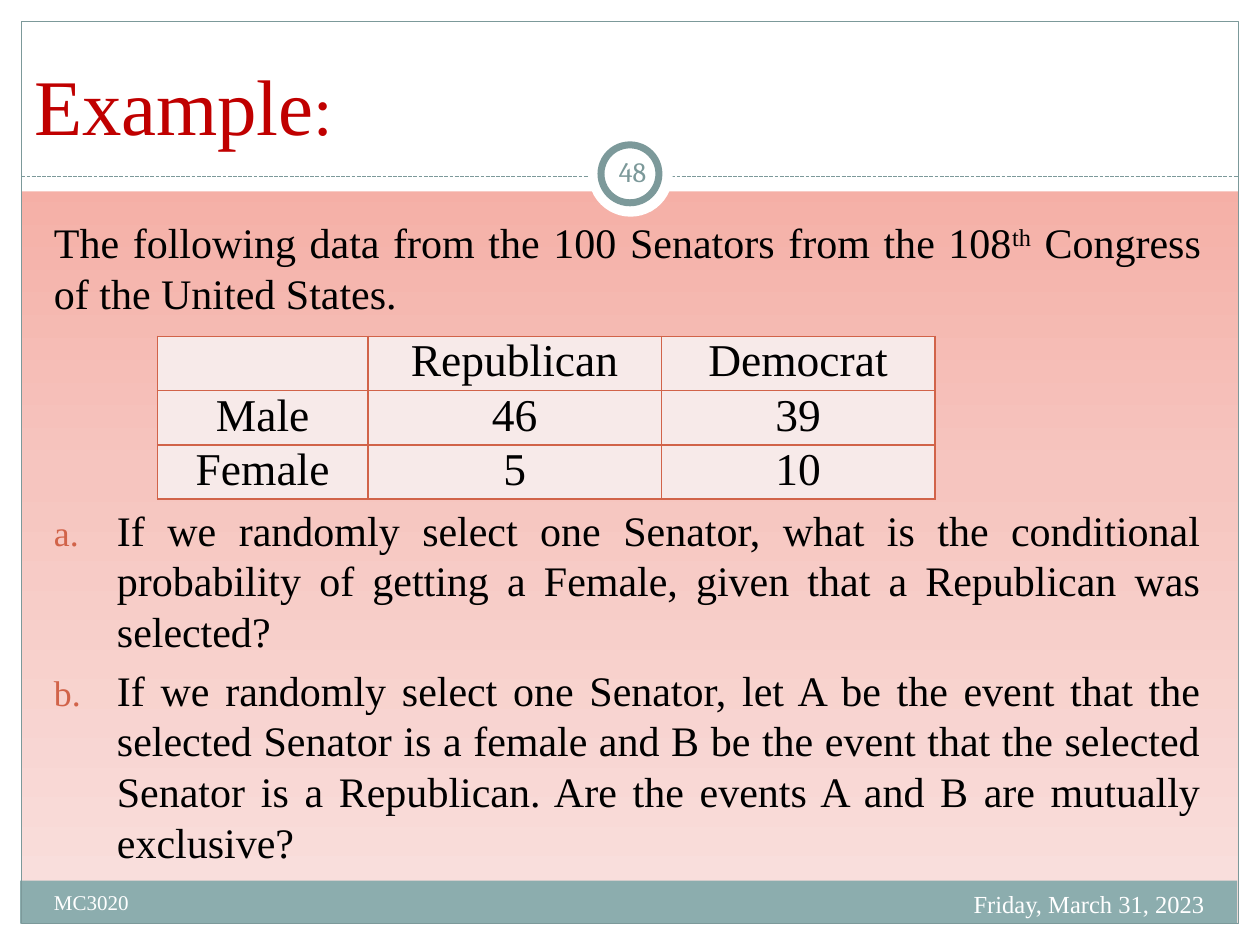
"""Build the conditional probability example slide with its table of senators."""
import copy

from lxml import etree
from pptx import Presentation, util as u
from pptx.dml.color import RGBColor
from pptx.enum import dml, shapes, text
from pptx.oxml import parse_xml
from pptx.oxml.ns import nsdecls, qn

Inches, Pt = u.Inches, u.Pt
SERIF, TEAL, ACCENT = "Times New Roman", "7C999A", "D16349"
LEFT, CENTER, RIGHT, JUSTIFY = (text.PP_ALIGN.LEFT, text.PP_ALIGN.CENTER,
                                text.PP_ALIGN.RIGHT, text.PP_ALIGN.JUSTIFY)
TOP, MIDDLE, BOTTOM = text.MSO_ANCHOR.TOP, text.MSO_ANCHOR.MIDDLE, text.MSO_ANCHOR.BOTTOM
rgb = RGBColor.from_string


def write(paragraph, runs, align, color, font=SERIF, **spacing):
    for name, value in dict(alignment=align, **spacing).items():
        setattr(paragraph, name, value)
    for words, size in runs:
        run = paragraph.add_run()
        run.text = words
        for name, value in dict(name=font, size=Pt(size)).items():
            setattr(run.font, name, value)
        run.font.color.rgb = rgb(color)


def set_frame(frame, anchor=TOP, inset=None):
    layout = dict(word_wrap=True, auto_size=text.MSO_AUTO_SIZE.NONE, vertical_anchor=anchor)
    if inset is not None:
        layout.update({f"margin_{side}": Inches(inset) for side in ("left", "top", "right", "bottom")})
    for name, value in layout.items():
        setattr(frame, name, value)
    return frame


deck = Presentation()
deck.slide_width, deck.slide_height = Inches(10), Inches(7.5)
slide = deck.slides.add_slide(deck.slide_layouts[5])

backdrop = slide.background.fill
backdrop.gradient()
backdrop.gradient_angle = 270
first_stop = slide.background._cSld.find(".//" + qn("a:gs"))
first_stop.addnext(copy.deepcopy(first_stop))
for stop, (position, color) in zip(backdrop.gradient_stops,
                                   [(0, "F4A095"), (0.5, "F6C5BF"), (1, "FAE2E0")]):
    stop.position = position
    stop.color.rgb = rgb(color)

RECT, OVAL = shapes.MSO_SHAPE.RECTANGLE, shapes.MSO_SHAPE.OVAL
decor = [
    (RECT, (0, 7.33, 10, 0.17), "FFFFFF", None),
    (RECT, (0, 0, 10, 1.52), "FFFFFF", None),
    (RECT, (0, 0, 0.17, 7.5), "FFFFFF", None),
    (RECT, (9.83, 0, 0.17, 7.5), "FFFFFF", None),
    (RECT, (0.16, 6.99, 9.66, 0.34), "8CADAE", None),
    (RECT, (0.17, 0.17, 9.66, 7.16), None, 0.75),
    ("divider", (0.17, 1.4, 9.83, 1.4), None, 0.75),
    (OVAL, (4.67, 1.05, 0.67, 0.67), "FFFFFF", None),
    (OVAL, (4.77, 1.15, 0.46, 0.46), "FFFFFF", 4),
]
for kind, place, fill, width in decor:
    place = [Inches(length) for length in place]
    if kind == "divider":
        part = slide.shapes.add_connector(shapes.MSO_CONNECTOR.STRAIGHT, *place)
        part.line.dash_style = dml.MSO_LINE.SQUARE_DOT
        etree.SubElement(part.element.spPr, qn("a:effectLst"))
    else:
        part = slide.shapes.add_shape(kind, *place)
        part.shadow.inherit = False
        if fill:
            part.fill.solid()
            part.fill.fore_color.rgb = rgb(fill)
        else:
            part.fill.background()
    if width:
        part.line.color.rgb = rgb(TEAL)
        part.line.width = Pt(width)
    else:
        part.line.fill.background()

title = slide.shapes.title
for name, value in dict(left=0.17, top=0.42, width=9.33, height=0.83).items():
    setattr(title, name, Inches(value))
write(set_frame(title.text_frame, BOTTOM).paragraphs[0], [("Example", 45), (":", 40)], LEFT, "C00000")
slide.shapes.element.append(title.element)

intro = set_frame(slide.shapes.add_textbox(*map(Inches, (0.33, 1.67, 9.3, 0.95))).text_frame)
write(intro.paragraphs[0],
      [("The following data from the 100 Senators from the 108", 24), ("th", 24),
       (" Congress of the United States.", 24)], JUSTIFY, "000000", line_spacing=Pt(28.9))
intro.paragraphs[0].runs[1].font._element.set("baseline", "30000")

questions = [
    "If we randomly select one Senator, what is the conditional probability of getting a Female, "
    "given that a Republican was selected?",
    "If we randomly select one Senator, let A be the event that the selected Senator is a female "
    "and B be the event that the selected Senator is a Republican. Are the events A and B are "
    "mutually exclusive?",
]
question_frame = set_frame(slide.shapes.add_textbox(*map(Inches, (0.33, 3.95, 9.3, 2.95))).text_frame)
for index, question in enumerate(questions):
    paragraph = question_frame.add_paragraph() if index else question_frame.paragraphs[0]
    write(paragraph, [(question, 24)], JUSTIFY, "000000",
          line_spacing=Pt(28.9), space_before=Pt(4.8 * index))
    properties = paragraph._p.get_or_add_pPr()
    properties.set("marL", str(Inches(0.5)))
    properties.set("indent", str(-Inches(0.5)))
    for bullet in (f'<a:buClr {nsdecls("a")}><a:srgbClr val="{ACCENT}"/></a:buClr>',
                   f'<a:buSzPct {nsdecls("a")} val="85000"/>',
                   f'<a:buFont {nsdecls("a")} typeface="{SERIF}"/>',
                   f'<a:buAutoNum {nsdecls("a")} type="alphaLcPeriod"/>'):
        properties.append(parse_xml(bullet))

labels = [
    ("Friday, March 31, 2023", (6.33, 7.01, 3.33, 0.4), 14, RIGHT, "FFFFFF", SERIF, TOP, None),
    ("MC3020", (0.33, 7.01, 3.92, 0.4), 12, LEFT, "FFFFFF", SERIF, TOP, None),
    ("48", (4.77, 1.12, 0.5, 0.48), 16, CENTER, TEAL, "Cambria", MIDDLE, 0.05),
]
for words, place, size, align, color, font, anchor, inset in labels:
    label = set_frame(slide.shapes.add_textbox(*map(Inches, place)).text_frame, anchor, inset)
    write(label.paragraphs[0], [(words, size)], align, color, font)

senators = [("", "Republican", "Democrat"), ("Male", "46", "39"), ("Female", "5", "10")]
table = slide.shapes.add_table(3, 3, *map(Inches, (1.25, 2.67, 6.17, 1.3))).table
for column, width in zip(table.columns, (1.67, 2.33, 2.17)):
    column.width = Inches(width)
for row, values in zip(table.rows, senators):
    row.height = Inches(0.43)
    for cell, value in zip(row.cells, values):
        for name, margin in dict(left=0.07, top=0, right=0.07, bottom=0).items():
            setattr(cell, f"margin_{name}", Inches(margin))
        if value:
            write(cell.text_frame.paragraphs[0], [(value, 26)], CENTER, "000000")
        cell.fill.solid()
        cell.fill.fore_color.rgb = rgb("F7EAE9")
        for position, side in enumerate(("lnL", "lnR", "lnT", "lnB")):
            cell._tc.get_or_add_tcPr().insert(position, parse_xml(
                f'<a:{side} {nsdecls("a")} w="{Pt(1)}"><a:solidFill><a:srgbClr val="{ACCENT}"/>'
                f'</a:solidFill></a:{side}>'))

deck.save("out.pptx")
